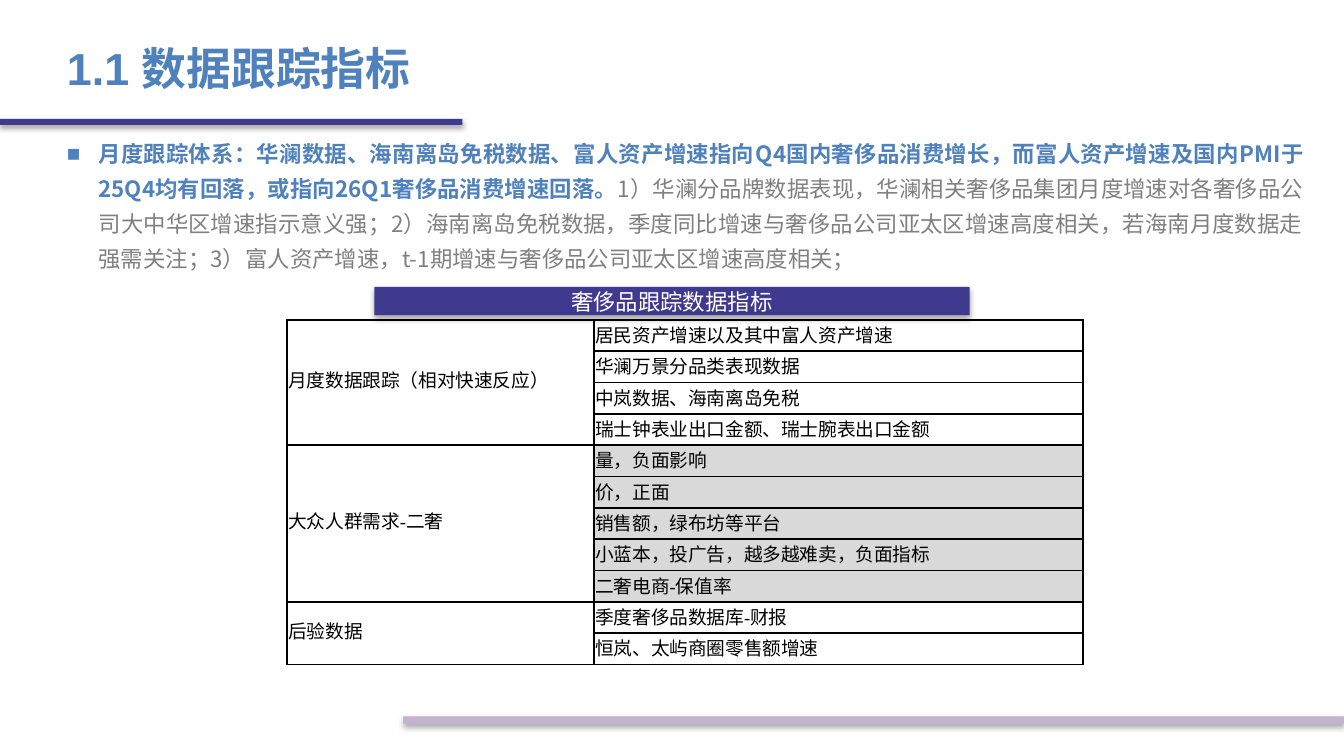
from dataclasses import dataclass

from lxml import etree
from pptx import Presentation
from pptx.dml.color import RGBColor
from pptx.enum.shapes import MSO_SHAPE
from pptx.enum.text import MSO_ANCHOR, MSO_AUTO_SIZE, PP_ALIGN
from pptx.oxml.ns import qn
from pptx.util import Emu, Pt

PX = 4572
RECT = MSO_SHAPE.RECTANGLE
MIDDLE = MSO_ANCHOR.MIDDLE
CENTER = PP_ALIGN.CENTER
JUSTIFY = PP_ALIGN.JUSTIFY
GROW = MSO_AUTO_SIZE.SHAPE_TO_FIT_TEXT


@dataclass(frozen=True)
class Theme:
    blue: str = "4F81BD"
    navy: str = "403990"
    lilac: str = "C5B1D0"
    gray: str = "808080"
    shade: str = "D9D9D9"
    black: str = "000000"
    white: str = "FFFFFF"
    sans: str = "Noto Sans CJK SC"
    latin: str = "Arial"
    serif: str = "Times New Roman"
    head: int = 24
    body: int = 12
    cell: int = 10


THEME = Theme()

LEAD = (
    "月度跟踪体系：华澜数据、海南离岛免税数据、富人资产增速指向Q4国内奢侈品消费增长，"
    "而富人资产增速及国内PMI于25Q4均有回落，或指向26Q1奢侈品消费增速回落。"
)
DETAIL = (
    "1）华澜分品牌数据表现，华澜相关奢侈品集团月度增速对各奢侈品公司大中华区增速指示意义强；"
    "2）海南离岛免税数据，季度同比增速与奢侈品公司亚太区增速高度相关，若海南月度数据走强需关注；"
    "3）富人资产增速，t-1期增速与奢侈品公司亚太区增速高度相关；"
)
GROUPS = [
    ("月度数据跟踪（相对快速反应）", None, [
        "居民资产增速以及其中富人资产增速",
        "华澜万景分品类表现数据",
        "中岚数据、海南离岛免税",
        "瑞士钟表业出口金额、瑞士腕表出口金额",
    ]),
    ("大众人群需求-二奢", THEME.shade, [
        "量，负面影响",
        "价，正面",
        "销售额，绿布坊等平台",
        "小蓝本，投广告，越多越难卖，负面指标",
        "二奢电商-保值率",
    ]),
    ("后验数据", None, [
        "季度奢侈品数据库-财报",
        "恒岚、太屿商圈零售额增速",
    ]),
]


def scale(*box):
    return [Emu(n * PX) for n in box]


def add(parent, tag, **attrs):
    node = etree.SubElement(parent, qn(tag))
    for key, value in attrs.items():
        node.set(key, str(value))
    return node


def style(run, size, color, face=THEME.sans, bold=False):
    font = run.font
    font.size = Pt(size)
    font.bold = bold
    font.color.rgb = RGBColor.from_string(color)
    font.name = face
    add(font._element, "a:ea", typeface=THEME.sans)


def add_run(para, text, *look):
    run = para.add_run()
    run.text = text
    style(run, *look)


def draw_bar(slide, box, color):
    bar = slide.shapes.add_shape(RECT, *scale(*box))
    bar.fill.solid()
    bar.fill.fore_color.rgb = RGBColor.from_string(color)
    bar.line.fill.background()
    bar.shadow.inherit = False
    glow = add(bar._element.spPr.find(qn("a:effectLst")), "a:outerShdw",
               blurRad=Pt(3.1), dist=Pt(1.8), dir=5400000, rotWithShape=0)
    add(add(glow, "a:srgbClr", val=THEME.black), "a:alpha", val=35000)
    return bar


def draw_title(slide, box):
    frame = slide.shapes.add_textbox(*scale(*box)).text_frame
    frame.word_wrap = False
    frame.auto_size = GROW
    para = frame.paragraphs[0]
    add_run(para, "1.1 ", THEME.head, THEME.blue, THEME.latin, True)
    add_run(para, "数据跟踪指标", THEME.head, THEME.blue, THEME.sans, True)


def draw_body(slide, box):
    frame = slide.shapes.add_textbox(*scale(*box)).text_frame
    frame.word_wrap = True
    para = frame.paragraphs[0]
    props = para._p.get_or_add_pPr()
    props.set("marL", str(47 * PX))
    props.set("indent", str(-47 * PX))
    add(props, "a:buFont", typeface=THEME.latin)
    add(props, "a:buChar", char="■")
    para.alignment = JUSTIFY
    para.line_spacing = 1.3
    para.space_after = Pt(1.3)
    add_run(para, LEAD, THEME.body, THEME.blue, THEME.sans, True)
    add_run(para, DETAIL, THEME.body, THEME.gray)


def draw_banner(slide, box):
    frame = draw_bar(slide, box, THEME.navy).text_frame
    frame.text = "奢侈品跟踪数据指标"
    frame.vertical_anchor = MIDDLE
    para = frame.paragraphs[0]
    para.alignment = CENTER
    style(para.runs[0], THEME.body, THEME.white)


def dress(cell, text, fill):
    cell.text = text
    cell.vertical_anchor = MIDDLE
    cell.margin_left = cell.margin_top = cell.margin_right = Emu(2 * PX)
    cell.margin_bottom = Emu(10 * PX)
    para = cell.text_frame.paragraphs[0]
    para.font.size = Pt(THEME.cell)
    for run in para.runs:
        style(run, THEME.cell, THEME.black, THEME.serif)
    if fill:
        cell.fill.solid()
        cell.fill.fore_color.rgb = RGBColor.from_string(fill)
    else:
        cell.fill.background()
    props = cell._tc.get_or_add_tcPr()
    for spot, side in enumerate("LRTB"):
        line = add(props, "a:ln" + side, w=Pt(1))
        add(add(line, "a:solidFill"), "a:srgbClr", val=THEME.black)
        props.insert(spot, line)


def draw_table(slide, box, split):
    count = sum(len(items) for _, _, items in GROUPS)
    grid = slide.shapes.add_table(count, 2, *scale(*box)).table
    grid.first_row = grid.horz_banding = False
    for col, width in zip(grid.columns, scale(split, box[2] - split)):
        col.width = width
    for row in grid.rows:
        row.height = Emu(box[3] * PX // count)
    top = 0
    for name, fill, items in GROUPS:
        for step, item in enumerate(items):
            dress(grid.cell(top + step, 0), "" if step else name, None)
            dress(grid.cell(top + step, 1), item, fill)
        end = top + len(items)
        grid.cell(top, 0).merge(grid.cell(end - 1, 0))
        top = end


def main():
    deck = Presentation()
    deck.slide_width, deck.slide_height = scale(2000, 1125)
    slide = deck.slides.add_slide(deck.slide_layouts[6])
    draw_title(slide, (80, 51, 580, 100))
    draw_bar(slide, (0, 177, 688, 9), THEME.navy)
    draw_bar(slide, (600, 1066, 1400, 11), THEME.lilac)
    draw_banner(slide, (557, 427, 886, 42), )
    draw_table(slide, (427, 476, 1185, 513), 457)
    draw_body(slide, (80, 187, 1880, 240))
    deck.save("out.pptx")


if __name__ == "__main__":
    main()
